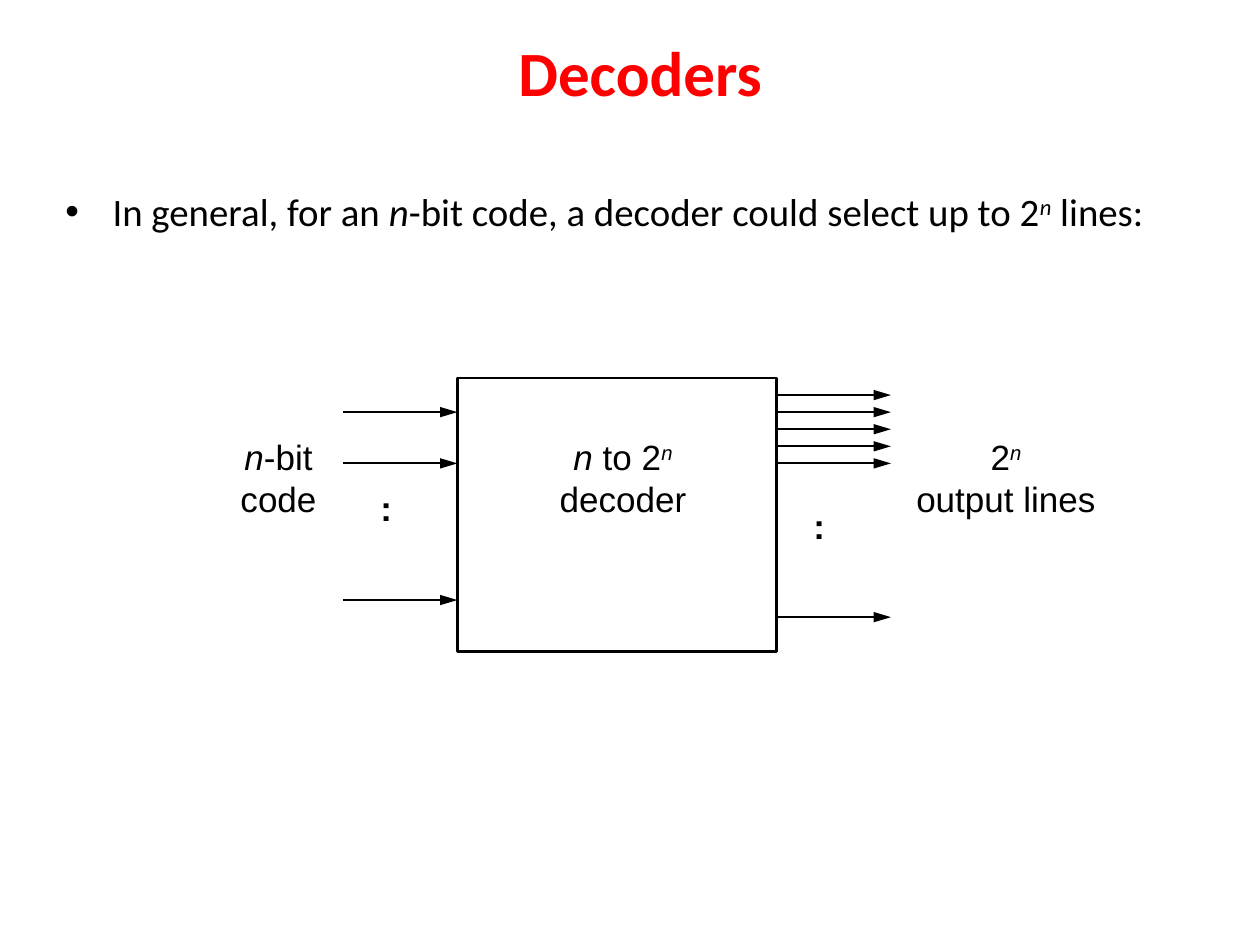
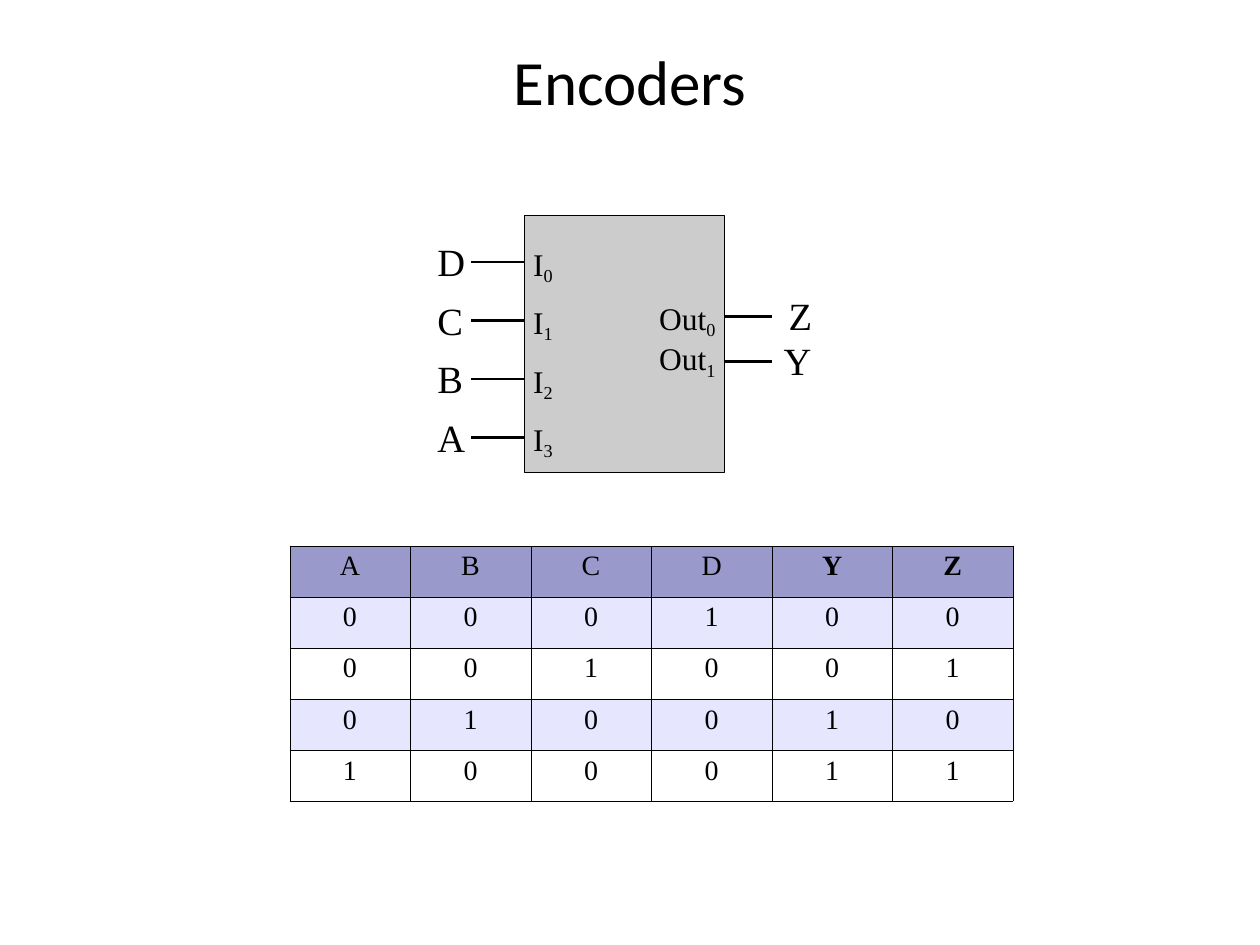
from lxml import etree
from pptx import Presentation
from pptx.dml.color import RGBColor
from pptx.enum.shapes import MSO_CONNECTOR, MSO_SHAPE
from pptx.enum.text import MSO_ANCHOR, PP_ALIGN
from pptx.oxml.ns import qn
from pptx.util import Cm, Pt

LEFT, CENTER = PP_ALIGN.LEFT, PP_ALIGN.CENTER
TOP, MIDDLE = MSO_ANCHOR.TOP, MSO_ANCHOR.MIDDLE
STRAIGHT, RECT = MSO_CONNECTOR.STRAIGHT, MSO_SHAPE.RECTANGLE

BLACK, RED, WHITE, GRAY = "000000", "FF0000", "FFFFFF", "CCCCCC"
HEADER, BAND = "9999CC", "E6E6FF"
SANS, ARIAL, SERIF = "Calibri", "Arial", "Times New Roman"
BASELINES = {"^": "30000", "_": "-20000"}
PIN_MARGINS = (0.23, 0.15, 0.23, 0.1)


def color(hex_text):
    return RGBColor.from_string(hex_text)


def write(tf, paragraphs, font=ARIAL, size=20, fill=BLACK, bold=False,
          align=LEFT, spacing=None, bullet=None):
    for i, runs in enumerate(paragraphs):
        p = tf.paragraphs[0] if i == 0 else tf.add_paragraph()
        if bullet:
            add_bullet(p, bullet)
        p.alignment = align
        if spacing:
            p.line_spacing = spacing
        for text, style in [(runs, "")] if isinstance(runs, str) else runs:
            r = p.add_run()
            r.text = text
            r.font.name = font
            r.font.size = Pt(size)
            r.font.bold = bold
            r.font.italic = "i" in style
            r.font.color.rgb = color(fill)
            for mark, baseline in BASELINES.items():
                if mark in style:
                    r.font._element.set("baseline", baseline)


def add_bullet(p, char):
    pPr = p._p.get_or_add_pPr()
    pPr.set("marL", str(Cm(0.95)))
    pPr.set("indent", str(-Cm(0.95)))
    etree.SubElement(pPr, qn("a:buFont")).set("typeface", ARIAL)
    etree.SubElement(pPr, qn("a:buChar")).set("char", char)


def add_text(s, paragraphs, x, y, w, h, anchor=TOP, wrap=True,
             margins=(0.25, 0.13, 0.25, 0.13), **fmt):
    tf = s.shapes.add_textbox(Cm(x), Cm(y), Cm(w), Cm(h)).text_frame
    tf.word_wrap = wrap
    tf.vertical_anchor = anchor
    tf.margin_left, tf.margin_top, tf.margin_right, tf.margin_bottom = map(Cm, margins)
    write(tf, paragraphs, **fmt)


def add_title(s, text, x, y, w, h, **fmt):
    add_text(s, [text], x, y, w, h, anchor=MIDDLE, font=SANS, size=36,
             align=CENTER, **fmt)


def add_pin_label(s, runs, x, y, w, size):
    add_text(s, [runs], x, y, w, 1.05, wrap=False, margins=PIN_MARGINS,
             font=SERIF, size=size, spacing=0.95)


def add_block(s, x, y, w, h, line_width, fill=None):
    sp = s.shapes.add_shape(RECT, Cm(x), Cm(y), Cm(w), Cm(h))
    sp.shadow.inherit = False
    sp.line.color.rgb = color(BLACK)
    sp.line.width = Pt(line_width)
    if fill:
        sp.fill.solid()
        sp.fill.fore_color.rgb = color(fill)
    else:
        sp.fill.background()


def add_wire(s, x, y, length, width, arrow=False):
    cx = s.shapes.add_connector(STRAIGHT, Cm(x), Cm(y), Cm(x + length), Cm(y))
    cx.line.color.rgb = color(BLACK)
    cx.line.width = Pt(width)
    if arrow:
        tail = etree.SubElement(cx.line._get_or_add_ln(), qn("a:tailEnd"))
        tail.set("type", "triangle")
        tail.set("w", "med")
        tail.set("len", "lg")
    etree.SubElement(cx._element.spPr, qn("a:effectLst"))


def add_borders(cell):
    tcPr = cell._tc.get_or_add_tcPr()
    for i, side in enumerate(("a:lnL", "a:lnR", "a:lnT", "a:lnB")):
        ln = etree.Element(qn(side))
        ln.set("w", str(Pt(0.06)))
        fill = etree.SubElement(ln, qn("a:solidFill"))
        etree.SubElement(fill, qn("a:srgbClr")).set("val", BLACK)
        tcPr.insert(i, ln)


def add_truth_table(s, rows, bold_headers, x, y, col_width, row_height):
    n_rows, n_cols = len(rows), len(rows[0])
    table = s.shapes.add_table(n_rows, n_cols, Cm(x), Cm(y), Cm(col_width * n_cols),
                               Cm(row_height * n_rows)).table
    for col in table.columns:
        col.width = Cm(col_width)
    for i, values in enumerate(rows):
        table.rows[i].height = Cm(row_height)
        fill = HEADER if i == 0 else BAND if i % 2 else WHITE
        for j, value in enumerate(values):
            cell = table.cell(i, j)
            cell.fill.solid()
            cell.fill.fore_color.rgb = color(fill)
            cell.margin_left = cell.margin_right = Cm(0.23)
            cell.margin_top = cell.margin_bottom = Cm(0.13)
            add_borders(cell)
            write(cell.text_frame, [value], font=SERIF, size=16, align=CENTER,
                  spacing=0.95, bold=value in bold_headers)


def build_decoders(s):
    add_title(s, "Decoders", 2.11, 0.71, 21.59, 1.47, fill=RED, bold=True)
    add_text(s, [[("In general, for an ", ""), ("n", "i"),
                  ("-bit code, a decoder could select up to 2", ""),
                  ("n", "i^"), (" lines:", "")]],
             1.07, 3.66, 22.66, 2.18, font=SANS, size=22.2, bullet="•")

    left, top, width, height, arrow = 9.22, 7.62, 6.43, 5.51, 2.31
    step = height / 16
    add_block(s, left, top, width, height, 1.5)
    for k in (2, 5, 13):
        add_wire(s, left - arrow, top + k * step, arrow, 1.25, arrow=True)
    for k in (1, 2, 3, 4, 5, 14):
        add_wire(s, left + width, top + k * step, arrow, 1.25, arrow=True)
    for x, k in ((7.42, 6), (16.15, 7)):
        add_text(s, [":"], x, top + k * step, 1.03, 1.12, bold=True)

    captions = (
        (3.81, 3.61, [[("n", "i"), ("-bit", "")], "code"]),
        (9.98, 5.16, [[("n", "i"), (" to 2", ""), ("n", "i^")], "decoder"]),
        (17.7, 5.16, [[("2", ""), ("n", "i^")], "output lines"]),
    )
    for x, w, paragraphs in captions:
        add_text(s, paragraphs, x, top + 3 * step, w, 1.96, align=CENTER)


def build_encoders(s):
    add_title(s, "Encoders", 1.27, 0.86, 22.86, 1.5)

    input_ys = [5.28 + 1.18 * i for i in range(4)]
    output_ys = [6.38 + 0.91 * i for i in range(2)]
    for y in input_ys:
        add_wire(s, 9.5, y, 1.73, 1.45)
    for y in output_ys:
        add_wire(s, 13.84, y, 1.73, 1.45)
    add_block(s, 10.57, 4.34, 4.04, 5.18, 0.75, fill=GRAY)

    for i, (name, y) in enumerate(zip("DCBA", input_ys)):
        add_pin_label(s, name, 8.59, y - 0.56, 1.0, 22)
        add_pin_label(s, [("I", ""), (str(i), "_")], 10.52, y - 0.5, 0.86, 18)
    for i, (name, x, y) in enumerate(zip("ZY", (15.67, 15.57), output_ys)):
        add_pin_label(s, name, x, y - 0.58, 1.0, 22)
        add_pin_label(s, [("Out", ""), (str(i), "_")], 13.06, 5.87 + 0.82 * i, 1.6, 18)

    add_truth_table(s, ("ABCDYZ", "000100", "001001", "010010", "100011"), "YZ",
                    5.84, 11, 2.43, 1.03)


def main():
    prs = Presentation()
    prs.slide_width, prs.slide_height = Cm(25.4), Cm(19.05)
    for build in (build_decoders, build_encoders):
        build(prs.slides.add_slide(prs.slide_layouts[6]))
    prs.save("out.pptx")


if __name__ == "__main__":
    main()
